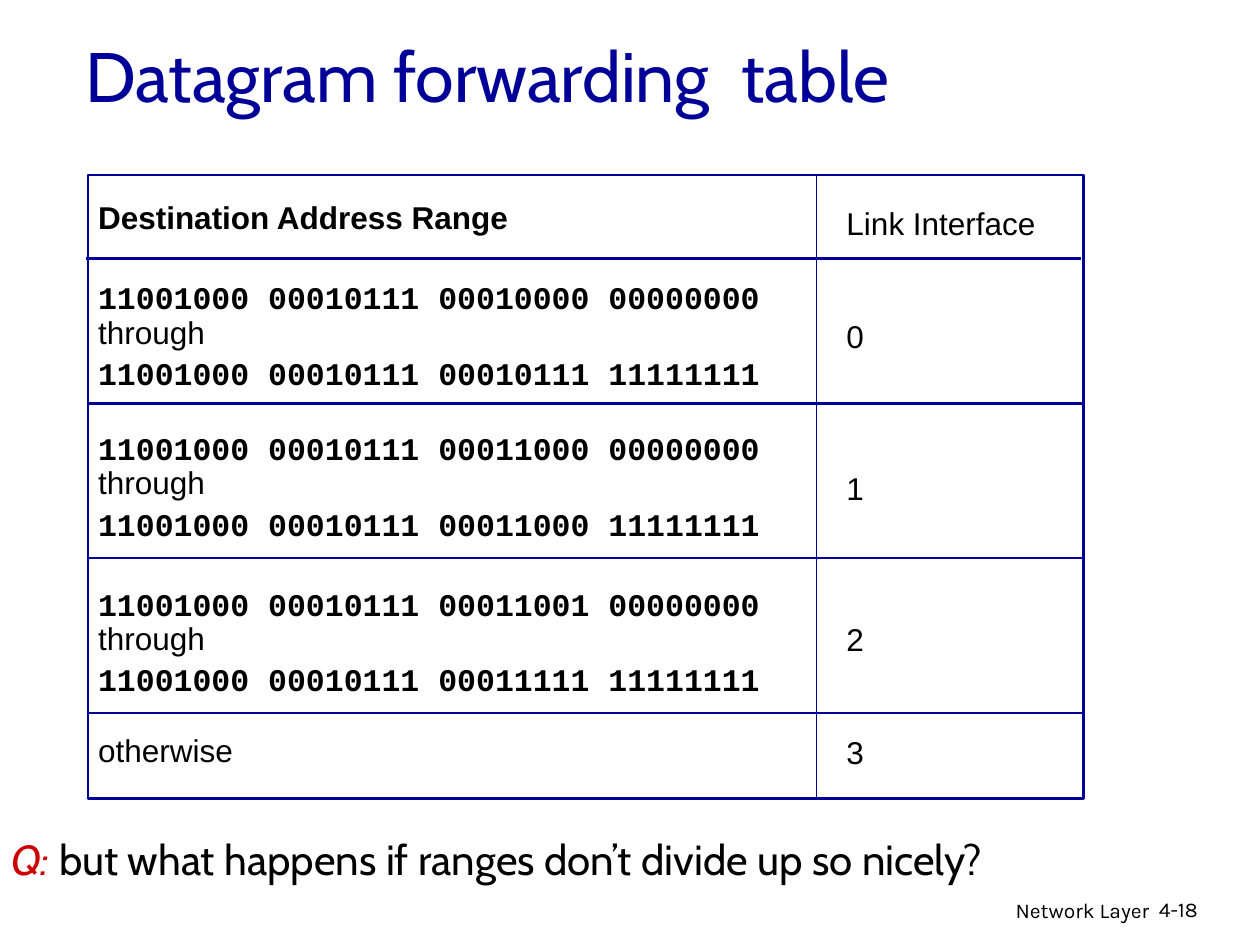
from dataclasses import dataclass

from lxml.etree import SubElement
from pptx import Presentation
from pptx.dml.color import RGBColor
from pptx.enum.shapes import MSO_CONNECTOR as Connector, MSO_SHAPE as Shape
from pptx.enum.text import MSO_ANCHOR as Anchor, MSO_AUTO_SIZE as AutoSize, PP_ALIGN as Align
from pptx.oxml.ns import qn
from pptx.util import Inches, Pt

NAVY, RED, BLACK = "000099", "CC0000", "000000"
COLUMNS, ROWS = 100, 75  # grid over the whole slide
SLIDE_WIDTH, SLIDE_HEIGHT = Inches(10), Inches(7.5)
LINE_PITCH = 21.6  # points from line to line


@dataclass
class Area:
    left: float
    top: float
    width: float
    height: float

    def lengths(self) -> tuple:
        return x(self.left), y(self.top), x(self.width), y(self.height)


@dataclass
class Rule:
    left: float
    top: float
    right: float
    bottom: float
    weight: float = 1.5


@dataclass
class Route:
    first: str
    last: str
    interface: str
    range_gap: float  # points above the address range
    interface_gap: float  # lines above the interface number


FRAME = Area(7, 13.9, 79, 49.5)
RULES = (
    Rule(6.8, 20.5, 85.8, 20.5),
    Rule(7.1, 32, 86.1, 32),
    Rule(7.1, 44.3, 86.1, 44.3),
    Rule(7, 56.6, 86, 56.6),
    Rule(64.8, 14, 64.8, 63.4, weight=1),
)
ROUTES = (
    Route("11001000 00010111 00010000 00000000", "11001000 00010111 00010111 11111111", "0", 22.5, 2),
    Route("11001000 00010111 00011000 00000000", "11001000 00010111 00011000 11111111", "1", 19.3, 3),
    Route("11001000 00010111 00011001 00000000", "11001000 00010111 00011111 11111111", "2", 22, 3),
)


def x(columns: float) -> int:
    return round(SLIDE_WIDTH * columns / COLUMNS)


def y(rows: float) -> int:
    return round(SLIDE_HEIGHT * rows / ROWS)


def color(value: str) -> RGBColor:
    return RGBColor.from_string(value)


def write(paragraph, text: str, *, font="Arial", size=18, fill=BLACK, bold=False,
          italic=False, align=Align.LEFT, pitch=None, before=0) -> None:
    paragraph.alignment = align
    if pitch:
        paragraph.line_spacing = Pt(pitch)
    if before:
        paragraph.space_before = Pt(before)
    run = paragraph.add_run()
    run.text = text
    run.font.name, run.font.size = font, Pt(size)
    run.font.bold, run.font.italic = bold, italic
    run.font.color.rgb = color(fill)


def add_text_box(slide, area: Area, wrap=True):
    frame = slide.shapes.add_textbox(*area.lengths()).text_frame
    frame.word_wrap = wrap
    return frame


def add_column(slide, area: Area, lines: list) -> None:
    frame = add_text_box(slide, area, wrap=False)
    for index, (text, style) in enumerate(lines):
        paragraph = frame.add_paragraph() if index else frame.paragraphs[0]
        write(paragraph, text, align=Align.JUSTIFY, **{"pitch": LINE_PITCH, **style})


def add_frame(slide, area: Area) -> None:
    shape = slide.shapes.add_shape(Shape.RECTANGLE, *area.lengths())
    shape.shadow.inherit = False
    shape.fill.background()
    shape.line.color.rgb, shape.line.width = color(NAVY), Pt(1.5)


def add_rule(slide, rule: Rule) -> None:
    connector = slide.shapes.add_connector(
        Connector.STRAIGHT, x(rule.left), y(rule.top), x(rule.right), y(rule.bottom))
    connector.line.color.rgb, connector.line.width = color(NAVY), Pt(rule.weight)
    SubElement(connector._element.spPr, qn("a:effectLst"))


def add_forwarding_table(slide) -> None:
    address = {"font": "Courier New", "bold": True, "pitch": 23.6}
    ranges = [("Destination Address Range", {"bold": True})]
    interfaces = [("Link Interface", {})]
    for route in ROUTES:
        ranges += [(route.first, {**address, "before": route.range_gap}),
                   ("through", {"pitch": 19.6}),
                   (route.last, address)]
        interfaces.append((route.interface, {"before": route.interface_gap * LINE_PITCH}))
    ranges.append(("otherwise", {"pitch": 19.6, "before": 21}))
    interfaces.append(("3", {"before": 2 * LINE_PITCH}))

    add_column(slide, Area(6.8, 15.2, 57.5, 46.4), ranges)
    add_column(slide, Area(66.2, 15.7, 17, 49), interfaces)
    add_frame(slide, FRAME)
    for rule in RULES:
        add_rule(slide, rule)


def main() -> None:
    presentation = Presentation()
    presentation.slide_width, presentation.slide_height = SLIDE_WIDTH, SLIDE_HEIGHT
    slide = presentation.slides.add_slide(presentation.slide_layouts[5])

    # Title
    title = slide.shapes.title
    title.left, title.top, title.width, title.height = Area(5.8, 1.2, 69.8, 9.4).lengths()
    title.text_frame.auto_size = AutoSize.NONE
    title.text_frame.vertical_anchor = Anchor.MIDDLE
    write(title.text_frame.paragraphs[0], "Datagram forwarding  table",
          font="Cabin", size=40, fill=NAVY)

    # Forwarding table
    add_forwarding_table(slide)

    # Closing question
    question = add_text_box(slide, Area(-0.1, 65.7, 90, 5), wrap=False).paragraphs[0]
    write(question, "Q:", font="Cabin", size=24, fill=RED, italic=True)
    write(question, " but what happens if ranges don’t divide up so nicely?", font="Cabin", size=24)

    # Footer
    footer = add_text_box(slide, Area(60.5, 70.7, 31.7, 3.1)).paragraphs[0]
    write(footer, "Network Layer", font="Karla", size=12, align=Align.RIGHT)
    number = add_text_box(slide, Area(91, 70.7, 7.4, 3)).paragraphs[0]
    write(number, "4-18", font="Karla", size=12)

    presentation.save("out.pptx")


if __name__ == "__main__":
    main()
